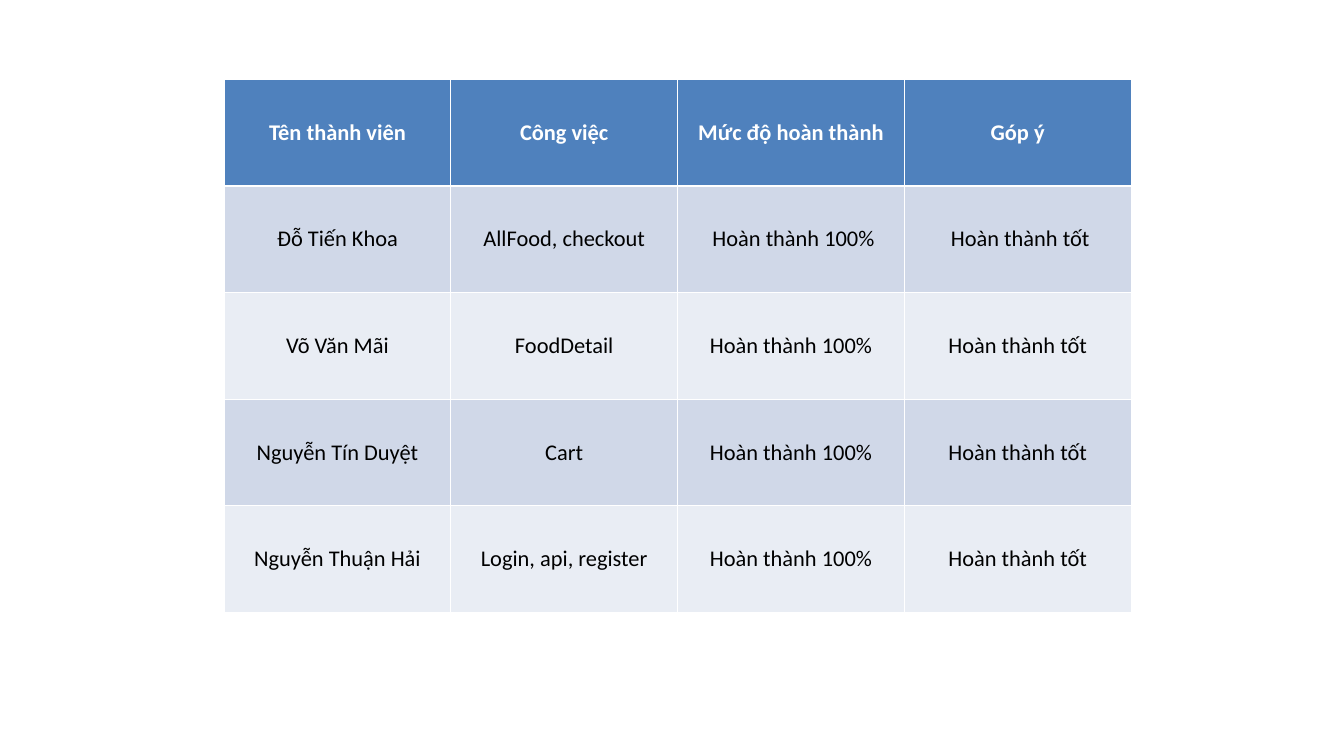
from dataclasses import dataclass

from lxml import etree
from pptx import Presentation
from pptx.dml.color import RGBColor
from pptx.enum.text import MSO_ANCHOR, PP_ALIGN
from pptx.oxml.ns import qn
from pptx.util import Cm, Pt

CENTER = PP_ALIGN.CENTER
MIDDLE = MSO_ANCHOR.MIDDLE


@dataclass(frozen=True)
class Theme:
    font: str = "Calibri"
    size: int = 24
    header_fill: str = "4F81BD"
    header_text: str = "FFFFFF"
    band_fills: tuple = ("E9EDF4", "D0D8E8")
    body_text: str = "000000"
    border: str = "FFFFFF"
    thin: int = 1
    thick: int = 3


THEME = Theme()

ROWS = [
    ("Tên thành viên", "Công việc", "Mức độ hoàn thành", "Góp ý"),
    ("Đỗ Tiến Khoa", "AllFood, checkout", " Hoàn thành 100%", " Hoàn thành tốt"),
    ("Võ Văn Mãi", "FoodDetail", "Hoàn thành 100%", "Hoàn thành tốt"),
    ("Nguyễn Tín Duyệt", "Cart", "Hoàn thành 100%", "Hoàn thành tốt"),
    ("Nguyễn Thuận Hải", "Login, api, register", "Hoàn thành 100%", "Hoàn thành tốt"),
]
COL_W, ROW_H = Cm(8.57), Cm(4.03)


def add_border(cell, side, width):
    """Draw one edge of a cell; side is L, R, T or B, in that order."""
    tc_pr = cell._tc.get_or_add_tcPr()
    ln = etree.SubElement(tc_pr, qn(f"a:ln{side}"), w=str(Pt(width)))
    fill = etree.SubElement(ln, qn("a:solidFill"))
    etree.SubElement(fill, qn("a:srgbClr"), val=THEME.border)


prs = Presentation()
prs.slide_width, prs.slide_height = Cm(50.8), Cm(28.58)
s = prs.slides.add_slide(prs.slide_layouts[6])

n_rows, n_cols = len(ROWS), len(ROWS[0])
table = s.shapes.add_table(
    n_rows, n_cols, Cm(8.47), Cm(3), COL_W * n_cols, ROW_H * n_rows
).table
for col in table.columns:
    col.width = COL_W
for row in table.rows:
    row.height = ROW_H

for i, texts in enumerate(ROWS):
    header = i == 0
    fill = THEME.header_fill if header else THEME.band_fills[i % 2]
    color = THEME.header_text if header else THEME.body_text
    # The rule under the header is shared by the first two rows.
    top = THEME.thick if i == 1 else THEME.thin
    bottom = THEME.thick if header else THEME.thin
    for j, text in enumerate(texts):
        cell = table.cell(i, j)
        for side, width in zip("LRTB", (THEME.thin, THEME.thin, top, bottom)):
            add_border(cell, side, width)
        cell.fill.solid()
        cell.fill.fore_color.rgb = RGBColor.from_string(fill)
        cell.vertical_anchor = MIDDLE
        p = cell.text_frame.paragraphs[0]
        p.text = text
        p.alignment = CENTER
        font = p.runs[0].font
        font.name, font.size, font.bold = THEME.font, Pt(THEME.size), header
        font.color.rgb = RGBColor.from_string(color)

prs.save("out.pptx")
